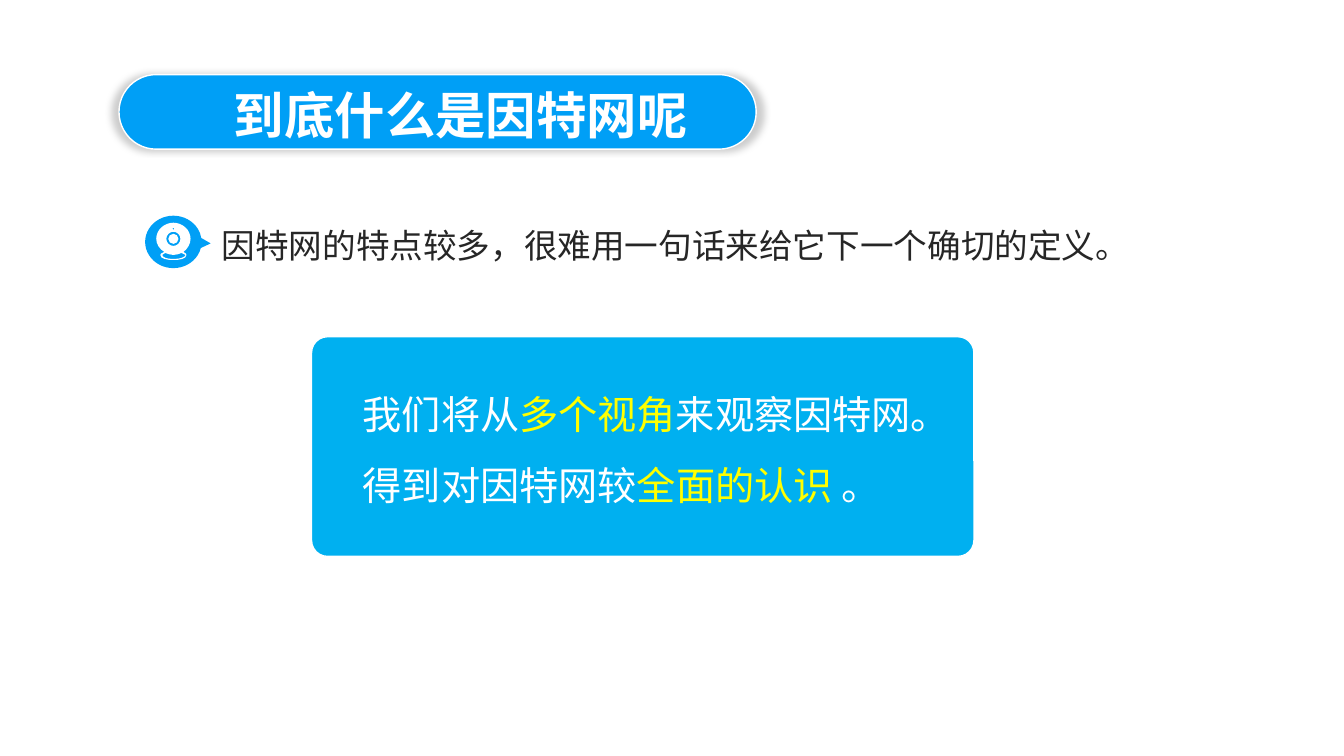
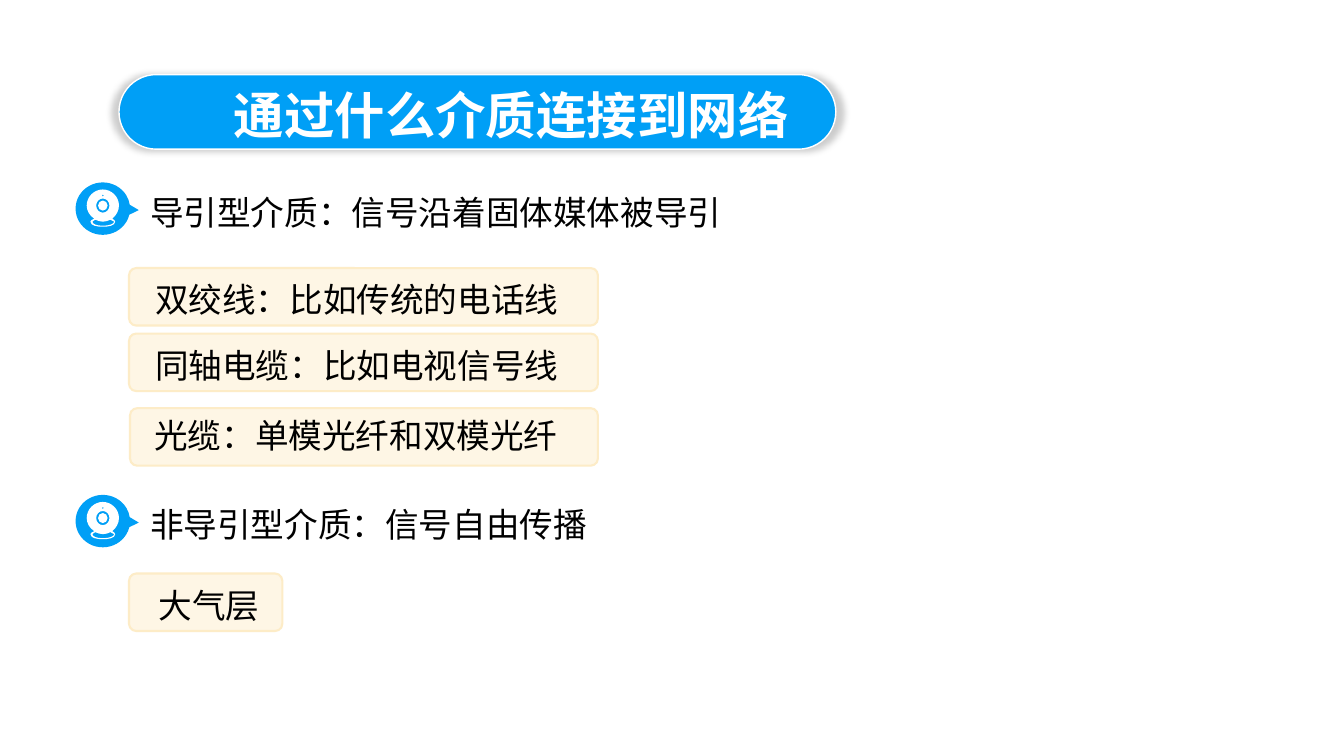
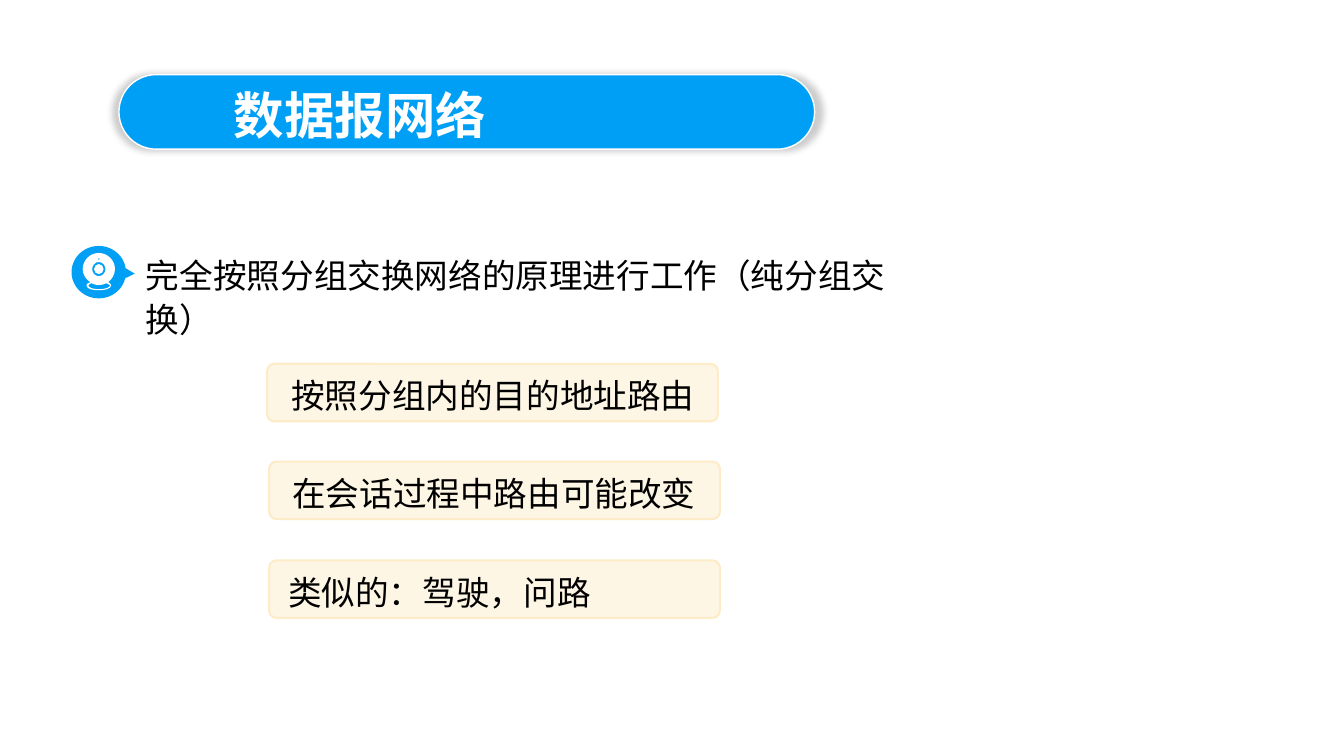
from lxml import etree
from pptx import Presentation
from pptx.dml.color import RGBColor
from pptx.enum import lang, shapes, text
from pptx.oxml import ns
from pptx.util import Pt

SCALE = 9144  # EMU in one px, 100 px to the inch

BLUE = RGBColor(0x00, 0x9F, 0xF6)
PANEL_BLUE = RGBColor(0x00, 0xB0, 0xF0)
CREAM = RGBColor(0xFE, 0xF6, 0xE5)
CREAM_EDGE = RGBColor(0xFD, 0xEC, 0xC7)
WHITE = RGBColor(0xFF, 0xFF, 0xFF)
YELLOW = RGBColor(0xFF, 0xFF, 0x00)
BLACK = RGBColor(0x00, 0x00, 0x00)
DARK = RGBColor(0x26, 0x26, 0x26)

SANS_JP, SANS_SC, SERIF = "Noto Sans CJK JP", "Noto Sans CJK SC", "Times New Roman"
EAST_ASIAN = {SANS_JP: SANS_JP, SANS_SC: SANS_SC, SERIF: SANS_SC}
TITLE = {"name": SANS_JP, "size": Pt(36), "bold": True}
BODY = {"name": SERIF, "size": Pt(24), "bold": False}
CHIP = {"name": SANS_SC, "size": Pt(24), "bold": False}
PANEL = {"name": SANS_SC, "size": Pt(28), "bold": False}

# Webcam drawing: a start point, then Bezier triples
CAM_WIDTH = 34
CAM_OUTLINE = [(17, 0), (26, 0), (34, 7), (34, 16), (34, 21), (31, 26), (27, 29),
               (29, 30), (30, 31), (30, 32), (30, 36), (23, 37), (17, 37),
               (11, 37), (4, 36), (4, 32), (4, 31), (5, 30), (8, 29),
               (3, 26), (0, 21), (0, 16), (0, 7), (8, 0), (17, 0)]
CAM_FOOT = [(25, 30), (23, 31), (20, 32), (17, 32), (14, 32), (12, 31), (9, 30),
            (7, 31), (6, 32), (6, 32), (6, 34), (10, 36), (17, 36),
            (24, 36), (29, 34), (29, 32), (29, 32), (27, 31), (25, 30)]
CAM_CIRCLES = [(17, 16, 5), (17, 16, 7), (17, 6, 1)]  # centre x, centre y, radius
ROUNDNESS = 0.55  # Bezier handle length of a quarter circle


def px(*lengths):
    return [round(length * SCALE) for length in lengths]


def apply(target, settings):
    for name, value in settings.items():
        setattr(target, name, value)


# Text
def write(frame, lines, style, spacing=None, align=text.PP_ALIGN.LEFT):
    """Each line is a list of (wording, colour) spans."""
    apply(frame, {"word_wrap": True, "vertical_anchor": text.MSO_ANCHOR.TOP,
                  "auto_size": text.MSO_AUTO_SIZE.SHAPE_TO_FIT_TEXT})
    for index, line in enumerate(lines):
        para = frame.add_paragraph() if index else frame.paragraphs[0]
        apply(para, {"alignment": align, "line_spacing": spacing})
        for wording, colour in line:
            span = para.add_run()
            span.text = wording
            apply(span.font, style)
            span.font.language_id = lang.MSO_LANGUAGE_ID.SIMPLIFIED_CHINESE
            span.font.color.rgb = colour
            latin = span.font._element.find(ns.qn("a:latin"))
            latin.addnext(latin.makeelement(
                ns.qn("a:ea"), {"typeface": EAST_ASIAN[style["name"]]}))


def add_text(page, place, lines, style, **options):
    write(page.shapes.add_textbox(*px(*place)).text_frame, lines, style, **options)


# Shapes
def add_block(page, kind, place, fill, adjust, edge=None, edge_width=1):
    block = page.shapes.add_shape(kind, *px(*place))
    block.shadow.inherit = False
    block.fill.solid()
    block.fill.fore_color.rgb = fill
    for index, value in enumerate(adjust):
        block.adjustments[index] = value
    if edge is None:
        block.line.fill.background()
    else:
        block.line.color.rgb = edge
        block.line.width = Pt(edge_width)
    return block


def add_soft_shadow(block):
    effects = block._element.spPr.find(ns.qn("a:effectLst"))
    shadow = etree.SubElement(effects, ns.qn("a:outerShdw"), blurRad=str(Pt(5)),
                              sx="102000", sy="102000", algn="ctr", rotWithShape="0")
    colour = etree.SubElement(shadow, ns.qn("a:srgbClr"), val=str(BLACK))
    etree.SubElement(colour, ns.qn("a:alpha"), val="20000")


def circle_controls(x, y, radius):
    handle = ROUNDNESS
    unit = [(0, -1), (handle, -1), (1, -handle), (1, 0), (1, handle), (handle, 1), (0, 1),
            (-handle, 1), (-1, handle), (-1, 0), (-1, -handle), (-handle, -1), (0, -1)]
    return [(x + radius * dx, y + radius * dy) for dx, dy in unit]


def bend_segments(freeform, contours):
    """Turn each straight segment into a curve with its two handles."""
    handles = [contour[first:first + 2] for contour in contours
               for first in range(1, len(contour), 3)]
    segments = list(freeform._element.iter(ns.qn("a:lnTo")))
    for segment, pair in zip(segments, handles):
        segment.tag = ns.qn("a:cubicBezTo")
        for index, (x, y) in enumerate(pair):
            point = segment.makeelement(ns.qn("a:pt"), {"x": str(x - freeform.left),
                                                        "y": str(y - freeform.top)})
            segment.insert(index, point)


def add_camera(page, left, top, width):
    drawing = [CAM_OUTLINE, CAM_FOOT] + [circle_controls(*c) for c in CAM_CIRCLES]
    contours = [[px(left + x * width / CAM_WIDTH, top + y) for x, y in controls]
                for controls in drawing]
    builder = page.shapes.build_freeform(*contours[0][0])
    for index, contour in enumerate(contours):
        if index:
            builder.move_to(*contour[0])
        builder.add_line_segments(contour[3::3], close=True)
    camera = builder.convert_to_shape()
    bend_segments(camera, contours)
    camera.shadow.inherit = False
    camera.fill.solid()
    camera.fill.fore_color.rgb = WHITE
    camera.line.fill.background()


# Parts of the slides
def add_page(deck, title, pill_width, title_width):
    page = deck.slides.add_slide(deck.slide_layouts[5])
    pill = add_block(page, shapes.MSO_SHAPE.ROUNDED_RECTANGLE, (118, 74, pill_width, 74),
                     BLUE, [0.5], WHITE)
    add_soft_shadow(pill)
    heading = page.shapes.title
    page.shapes.element.append(heading._element)  # in front of the pill
    apply(heading, dict(zip(("left", "top", "width", "height"),
                            px(222, 78, title_width, 71))))
    write(heading.text_frame, [[(title, WHITE)]], TITLE)
    return page


def add_point(page, left, top, wording, text_width, icon_width=54, colour=BLACK):
    add_block(page, shapes.MSO_SHAPE.OVAL_CALLOUT, (left, top, icon_width, 52),
              BLUE, [0.661, 0.028])
    add_camera(page, left + 11, top + 7, icon_width - 22)
    add_text(page, (left + icon_width + 10, top, text_width, 55),
             [[(wording, colour)]], BODY, spacing=1.1)


def add_chip(page, left, top, width, wording, text_left, text_width,
             style=CHIP, text_drop=6, align=text.PP_ALIGN.LEFT):
    add_block(page, shapes.MSO_SHAPE.ROUNDED_RECTANGLE, (left, top, width, 57),
              CREAM, [0.124], CREAM_EDGE, 1.5)
    add_text(page, (text_left, top + text_drop, text_width, 50),
             [[(wording, BLACK)]], style, align=align)


# Slides
def build_definition(deck):
    page = add_page(deck, "到底什么是因特网呢", 632, 499)
    add_point(page, 144, 214, "因特网的特点较多，很难用一句话来给它下一个确切的定义。",
              907, icon_width=56, colour=DARK)
    add_block(page, shapes.MSO_SHAPE.ROUNDED_RECTANGLE, (309, 334, 657, 218),
              PANEL_BLUE, [0.073], WHITE)
    add_text(page, (350, 359, 574, 151), [
        [("我们将从", WHITE), ("多个视角", YELLOW), ("来观察因特网。", WHITE)],
        [("得到对因特网较", WHITE), ("全面的认识 ", YELLOW), ("。", WHITE)],
    ], PANEL, spacing=1.5)


def build_media(deck):
    centre = text.PP_ALIGN.CENTER
    page = add_page(deck, "通过什么介质连接到网络", 711, 613)
    add_point(page, 75, 181, "导引型介质：信号沿着固体媒体被导引", 628)
    add_point(page, 75, 491, "非导引型介质：信号自由传播", 504)
    add_chip(page, 128, 569, 152, "大气层", 134, 147, align=centre)
    add_chip(page, 128, 266, 465, "双绞线：比如传统的电话线", 144, 449)
    add_chip(page, 128, 331, 465, "同轴电缆：比如电视信号线", 144, 449)
    add_chip(page, 129, 405, 464, "光缆：单模光纤和双模光纤", 128, 450,
             text_drop=2, align=centre)


def build_datagram(deck):
    page = add_page(deck, "数据报网络", 690, 587)
    add_point(page, 71, 244, "完全按照分组交换网络的原理进行工作（纯分组交换）", 807)
    chips = [(265, "按照分组内的目的地址路由", 279, 425),
             (267, "在会话过程中路由可能改变", 280, 425),
             (267, "类似的：驾驶，问路", 276, 447)]
    for index, (left, wording, text_left, text_width) in enumerate(chips):
        add_chip(page, left, 361 + index * 195 // 2, 447, wording,
                 text_left, text_width, style=BODY)


def main():
    deck = Presentation()
    deck.slide_width, deck.slide_height = px(1333, 750)
    build_definition(deck)
    build_media(deck)
    build_datagram(deck)
    deck.save("out.pptx")


if __name__ == "__main__":
    main()
